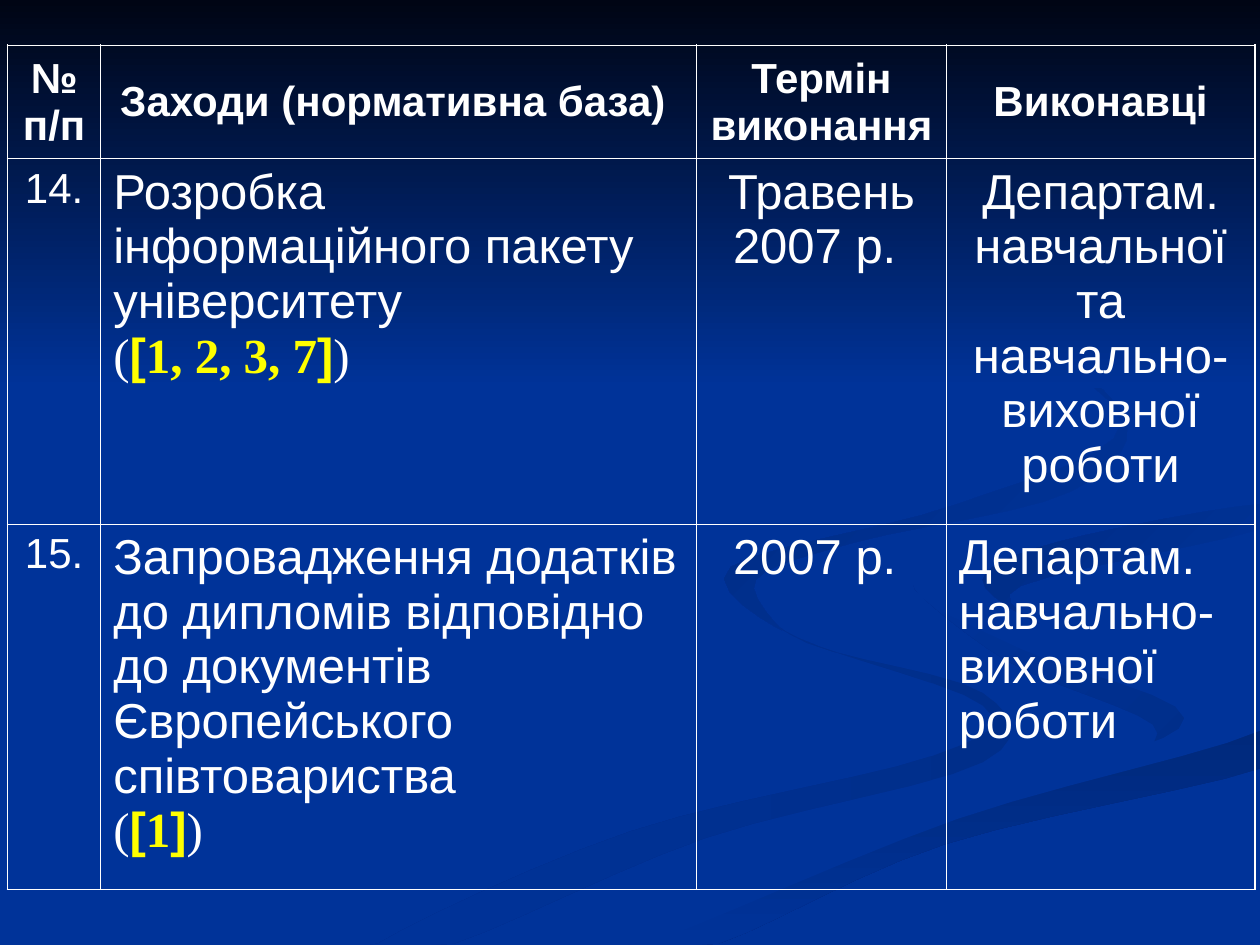
from lxml import etree
from pptx import Presentation
from pptx.dml.color import RGBColor
from pptx.enum.shapes import MSO_SHAPE
from pptx.enum.text import MSO_ANCHOR, PP_ALIGN
from pptx.oxml.ns import qn
from pptx.util import Inches, Pt

LEFT, CENTER = PP_ALIGN.LEFT, PP_ALIGN.CENTER
TOP, MIDDLE = MSO_ANCHOR.TOP, MSO_ANCHOR.MIDDLE
SANS, SERIF = "Arial", "Times New Roman"
WHITE, YELLOW, BLUE = "FFFFFF", "FFFF00", "003399"
SLIDE_WIDTH, SLIDE_HEIGHT = 10, 7.5

# Text formats
HEADER = {"name": SANS, "size": Pt(24), "bold": True, "color": WHITE}
NUMBER = {**HEADER, "bold": False}
BODY = {**NUMBER, "size": Pt(28)}
BRACE = {**BODY, "name": SERIF}
BRACKET = {**BODY, "bold": True, "color": YELLOW}
REFERENCE = {**BRACKET, "name": SERIF}

# Table content
HEADINGS = ["№ п/п", "Заходи (нормативна база) ", "Термін виконання", "Виконавці"]
MEASURES = [
    {"number": "14.", "measure": "Розробка інформаційного пакету університету ",
     "sources": "1, 2, 3, 7", "term": "Травень 2007 р. ",
     "performers": "Департам. навчальної та навчально-виховної роботи",
     "performers_align": CENTER},
    {"number": "15.",
     "measure": "Запровадження додатків до дипломів відповідно до документів "
                "Європейського співтовариства ",
     "sources": "1", "term": "2007 р. ",
     "performers": "Департам. навчально-виховної роботи",
     "performers_align": LEFT},
]
TABLE_LEFT, TABLE_TOP = 0.06, 0.36
COLUMN_WIDTHS = [0.74, 4.73, 1.98, 2.45]
ROW_HEIGHTS = [0.9, 2.9, 2.9]
INNER_LINE, OUTER_LINE = Pt(0.45), Pt(1.08)

# Background ribbons: start colour, end colour, clockwise angle, curve points
RIBBONS = [
    ("002E8A", BLUE, 180, [
        (7.8, 5.5), (6.4, 5.1), (5.75, 4.6), (6.3, 5.05), (7.8, 5.6),
        (7.4, 6), (5, 6.6), (3, 7.49), (3.6, 7.49), (5.6, 6.65), (7.8, 6.05)]),
    ("002E8A", BLUE, 225, [
        (9.4, 5.65), (8.3, 5.2), (7.25, 4.65), (8, 5.25), (9.15, 5.75), (8.95, 6.05)]),
    ("00297C", BLUE, 90, [
        (5.05, 7.49), (5.7, 7.49), (7.5, 6.7), (10, 6.1), (10, 5.8), (7.6, 6.5)]),
    (BLUE, BLUE, 0, [
        (7.25, 4.65), (8.1, 5.15), (9.4, 5.7), (8.1, 6.25), (4.8, 7.49),
        (5.2, 7.47), (7.6, 6.5), (10, 5.8), (10, 5.4), (8.5, 5.05),
        (7.85, 4.6), (10, 4), (10, 3.9), (7.9, 4.2)]),
    (BLUE, "002C85", 225, [
        (7.8, 4.6), (8.25, 4.95), (8.1, 4.65), (10, 4.2), (10, 4), (8.4, 4.3)]),
    (BLUE, "002B81", 225, [
        (6.8, 4.3), (8.5, 3.9), (8.9, 3.25), (7.6, 2.35), (8.9, 3.35),
        (7.6, 4), (5.8, 4.5), (6.2, 5), (6, 4.6)]),
]
CURVE_STEPS = 6


def rgb(value):
    return RGBColor.from_string(value)


def paint(shape, start, end, angle):
    """Fill a borderless background shape, with a gradient if the colours differ."""
    shape.shadow.inherit = False
    shape.line.fill.background()
    if start == end:
        shape.fill.solid()
        shape.fill.fore_color.rgb = rgb(start)
        return
    shape.fill.gradient()
    shape.fill.gradient_angle = (360 - angle) % 360
    for stop, color in zip(shape.fill.gradient_stops, (start, end)):
        stop.color.rgb = rgb(color)


def spline(a, b, c, d, t):
    """Catmull-Rom value between b and c."""
    return b + t / 2 * (c - a + t * (2 * a - 5 * b + 4 * c - d
                                     + t * (3 * (b - c) + d - a)))


def smooth_outline(points):
    """Round a closed outline, kept inside the slide."""
    outline = []
    for i in range(len(points)):
        around = [points[(i + k) % len(points)] for k in (-1, 0, 1, 2)]
        for step in range(CURVE_STEPS):
            x, y = (spline(*values, step / CURVE_STEPS) for values in zip(*around))
            outline.append((Inches(min(x, SLIDE_WIDTH)), Inches(min(y, SLIDE_HEIGHT))))
    return outline


def add_ribbon(slide, points):
    outline = smooth_outline(points)
    builder = slide.shapes.build_freeform(*outline[0], scale=1.0)
    builder.add_line_segments(outline[1:], close=True)
    return builder.convert_to_shape()


def add_run(paragraph, text, text_format):
    run = paragraph.add_run()
    run.text = text
    for name, value in text_format.items():
        if name == "color":
            run.font.color.rgb = rgb(value)
        else:
            setattr(run.font, name, value)


def set_borders(cell, outer_sides):
    properties = cell._tc.get_or_add_tcPr()
    for side in "LRTB":
        width = OUTER_LINE if side in outer_sides else INNER_LINE
        line = etree.SubElement(properties, qn(f"a:ln{side}"), w=str(int(width)))
        fill = etree.SubElement(line, qn("a:solidFill"))
        etree.SubElement(fill, qn("a:srgbClr"), val=WHITE)


def table_rows():
    """Yield each row as cells of (alignment, lines of runs)."""
    yield [(CENTER, [[(heading, HEADER)]]) for heading in HEADINGS]
    for item in MEASURES:
        sources = [("(", BRACE), ("[", BRACKET), (item["sources"], REFERENCE),
                   ("]", BRACKET), (")", BRACE)]
        yield [
            (CENTER, [[(item["number"], NUMBER)]]),
            (LEFT, [[(item["measure"], BODY)], sources]),
            (CENTER, [[(item["term"], BODY)]]),
            (item["performers_align"], [[(item["performers"], BODY)]]),
        ]


def add_measures_table(slide):
    size = len(ROW_HEIGHTS), len(COLUMN_WIDTHS)
    box = [Inches(value) for value in
           (TABLE_LEFT, TABLE_TOP, sum(COLUMN_WIDTHS), sum(ROW_HEIGHTS))]
    table = slide.shapes.add_table(*size, *box).table
    table.first_row = table.horz_banding = False
    for column, width in zip(table.columns, COLUMN_WIDTHS):
        column.width = Inches(width)
    for row, height in zip(table.rows, ROW_HEIGHTS):
        row.height = Inches(height)

    last_row, last_column = size[0] - 1, size[1] - 1
    for r, cells in enumerate(table_rows()):
        for c, (alignment, lines) in enumerate(cells):
            cell = table.cell(r, c)
            edges = {"L": c == 0, "R": c == last_column, "T": r == 0, "B": r == last_row}
            set_borders(cell, [side for side, outer in edges.items() if outer])
            cell.fill.background()
            cell.vertical_anchor = MIDDLE if r == 0 else TOP
            paragraph = cell.text_frame.paragraphs[0]
            paragraph.alignment = alignment
            for index, runs in enumerate(lines):
                if index:
                    paragraph.add_line_break()
                for text, text_format in runs:
                    add_run(paragraph, text, text_format)


def main():
    presentation = Presentation()
    presentation.slide_width = Inches(SLIDE_WIDTH)
    presentation.slide_height = Inches(SLIDE_HEIGHT)
    slide = presentation.slides.add_slide(presentation.slide_layouts[6])
    slide.background.fill.solid()
    slide.background.fill.fore_color.rgb = rgb(BLUE)

    # Ribbons, then the dark band fading down from the top
    for start, end, angle, points in RIBBONS:
        paint(add_ribbon(slide, points), start, end, angle)
    band = slide.shapes.add_shape(
        MSO_SHAPE.RECTANGLE, 0, 0, Inches(SLIDE_WIDTH), Inches(3.08))
    paint(band, "000514", BLUE, 90)

    add_measures_table(slide)
    presentation.save("out.pptx")


if __name__ == "__main__":
    main()
